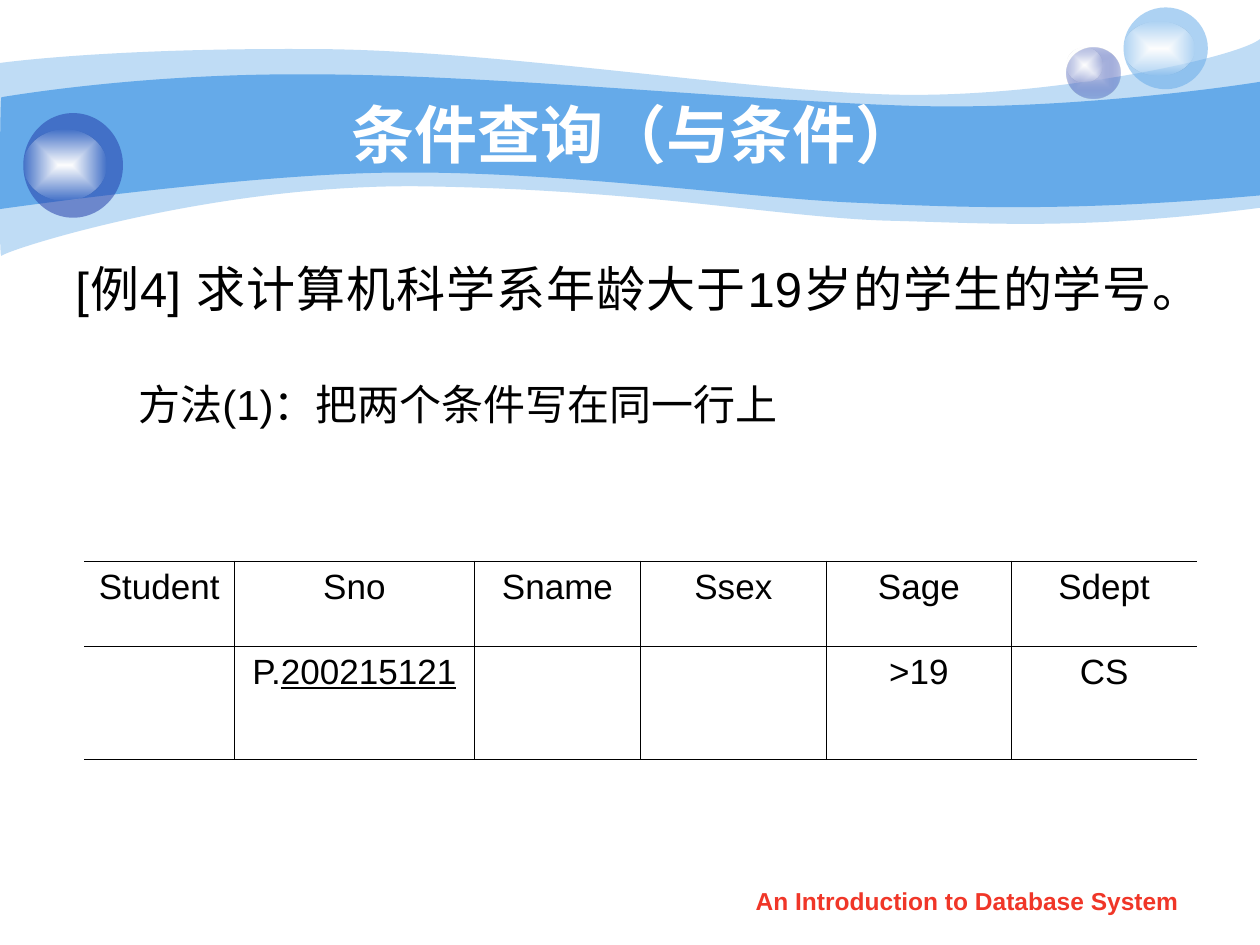
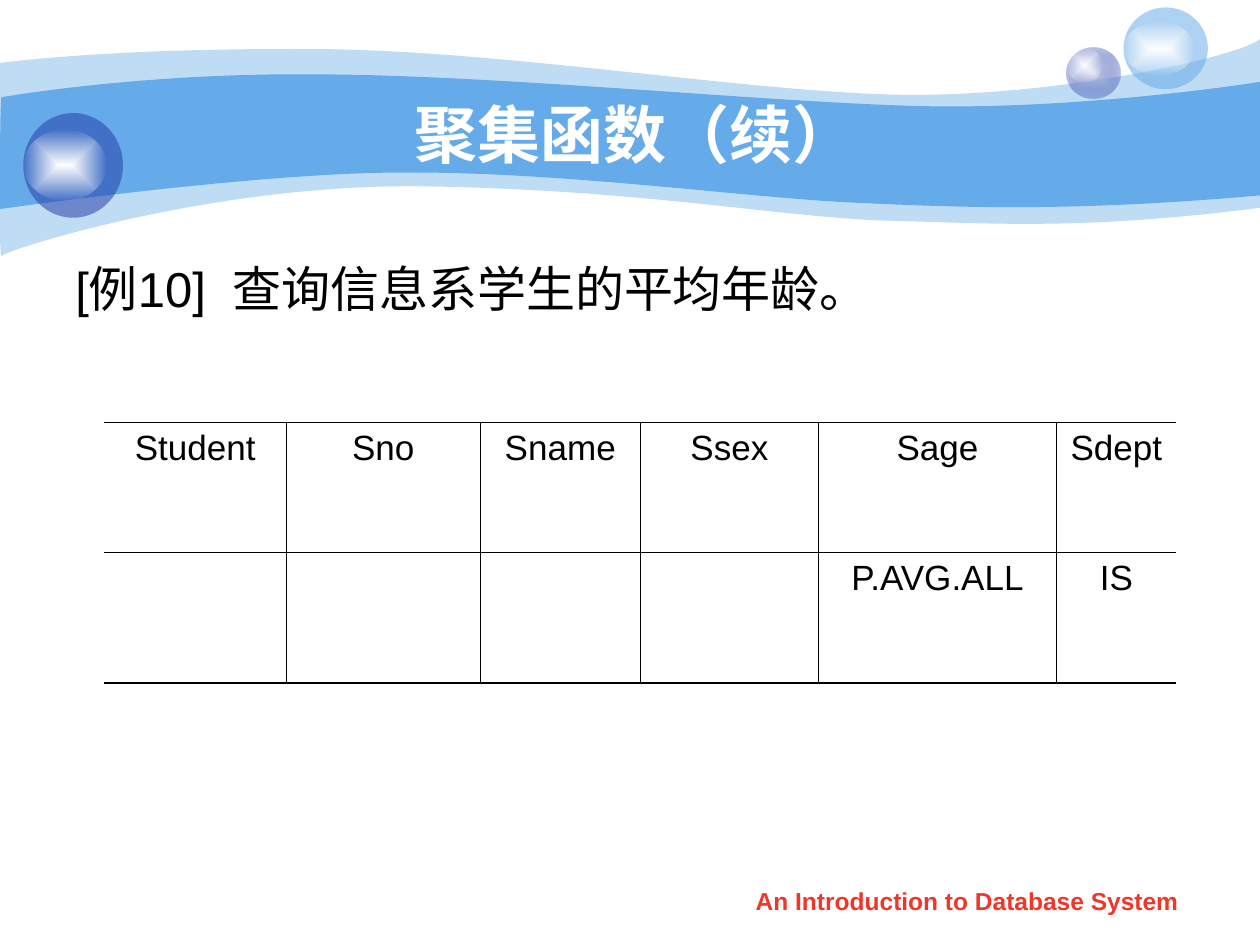
"""Build two slides on query-by-example conditions and aggregates."""
from dataclasses import dataclass

from pptx import Presentation
from pptx.dml.color import RGBColor
from pptx.enum.shapes import MSO_SHAPE as Preset
from pptx.enum.text import MSO_ANCHOR as Anchor, MSO_AUTO_SIZE as AutoSize, PP_ALIGN as Align
from pptx.oxml import parse_xml
from pptx.oxml.ns import nsdecls, qn
from pptx.util import Cm, Pt


@dataclass(frozen=True)
class Theme:
    font: str = "Arial"
    ink: str = "000000"
    white: str = "FFFFFF"
    sky: str = "65AAE9"
    navy: str = "233DA9"
    lilac: str = "C7CEE9"
    red: str = "F03628"
    title: int = 36
    example: int = 28
    method: int = 24
    cell: int = 20
    footer: int = 14
    thick: float = 1.08
    thin: float = 0.45


THEME = Theme()
FOOTER = "An Introduction to Database System"
FOOTER_AT = (14.5, 17.73, 10, 0.89)
TITLE_AT = (2.54, 1.9, 20.52, 1.57)
HEADERS = ["Student", "Sno", "Sname", "Ssex", "Sage", "Sdept"]
EXAMPLE = dict(size=THEME.example, margin=0.95, indent=-0.95)
METHOD = dict(size=THEME.method, margin=2.06, indent=-0.79, before=35)

PAGES = [
    dict(
        title="条件查询（与条件）",
        body_at=(1.27, 5.08, 22.23, 5.44),
        body=[("[例4] 求计算机科学系年龄大于19岁的学生的学号。", EXAMPLE),
              ("方法(1)：把两个条件写在同一行上", METHOD)],
        table_at=(1.7, 11.32),
        columns=[3.02, 4.85, 3.34, 3.75, 3.73, 3.74],
        rows=[1.71, 2.28],
        values=["", [("P.", {}), ("200215121", {"underline": True})], "", "", ">19", "CS"],
    ),
    dict(
        title="聚集函数（续）",
        body_at=(1.27, 5.08, 22.23, 12.5),
        body=[([("[例10]", {}), (" ", {"spacing": 7.5}), ("查询信息系学生的平均年龄。", {})], EXAMPLE)],
        table_at=(2.1, 8.52),
        columns=[3.67, 3.91, 3.23, 3.59, 4.8, 2.41],
        rows=[2.61, 2.64],
        values=["", "", "", "", "P.AVG.ALL", "IS"],
    ),
]

WAVES = [
    ([(THEME.sky, 41)], [
        [(0, 1.27), (0.61, 1.19), (2.72, 0.97), (6.27, 0.99), (9.8, 0.99), (14.6, 1.78),
         (17.75, 1.9), (20.88, 2.03), (24.89, 1.19), (25.4, 0.79)],
        [(25.4, 4.19), (21.79, 4.65), (19.99, 4.5), (17.91, 4.45), (15.8, 4.39), (13.08, 3.84),
         (8.71, 3.76), (4.37, 3.66), (0.1, 5.05), (0.03, 5.16), (-0.03, 5.28), (0, 1.9), (0, 1.27)],
    ]),
    ([(THEME.sky, 100)], [
        [(0.03, 1.96), (0.05, 1.96), (2.79, 1.47), (6.3, 1.5), (9.8, 1.5), (15.11, 2.03),
         (18.24, 2.13), (21.36, 2.24), (24.79, 1.75), (25.4, 1.65)],
        [(25.4, 3.94), (21.67, 4.27), (19.43, 4.19), (17.32, 4.09), (15.21, 4.01), (11.35, 3.45),
         (8.05, 3.48), (5.16, 3.48), (-0.05, 4.22), (-0.03, 4.22), (0, 4.22), (0, 1.96), (0.03, 1.96)],
    ]),
]
GLOW = [(THEME.white, 100), (THEME.white, 0)]
BUBBLES = [
    ((21.51, 0.97, 1.07, 1.02), [(THEME.lilac, 100), (THEME.navy, 31)]),
    ((21.51, 0.97, 0.71, 0.69), GLOW),
    ((22.65, 0.15, 1.7, 1.65), [(THEME.sky, 53)]),
    ((22.65, 0.43, 1.42, 1.09), GLOW),
    ((0.47, 2.28, 2.01, 2.11), [(THEME.navy, 53)]),
    ((0.47, 2.62, 1.68, 1.42), GLOW),
]


def lengths(values):
    return [Cm(value) for value in values]


def write(para, text, size, color=THEME.ink, bold=False, align=Align.CENTER,
          before=0, margin=0, indent=0):
    para.alignment = align
    para.space_before = Pt(before)
    if margin:
        properties = para._p.get_or_add_pPr()
        properties.set("marL", str(Cm(margin)))
        properties.set("indent", str(Cm(indent)))
    for words, style in [(text, {})] if isinstance(text, str) else text:
        span = para.add_run()
        span.text = words
        span.font.name, span.font.size, span.font.bold = THEME.font, Pt(size), bold
        span.font.color.rgb = RGBColor.from_string(color)
        if style.get("underline"):
            span.font.underline = True
        if "spacing" in style:
            span.font._element.set("spc", str(round(style["spacing"] * 100)))


def paint(shape, stops):
    colors = [f'<a:srgbClr val="{color}"><a:alpha val="{alpha * 1000}"/></a:srgbClr>'
              for color, alpha in stops]
    if len(colors) == 1:
        xml = f'<a:solidFill {nsdecls("a")}>{colors[0]}</a:solidFill>'
    else:
        marks = "".join(f'<a:gs pos="{place * 100000}">{color}</a:gs>'
                        for place, color in enumerate(colors))
        xml = (f'<a:gradFill {nsdecls("a")}><a:gsLst>{marks}</a:gsLst><a:path path="rect">'
               '<a:fillToRect l="50000" t="50000" r="50000" b="50000"/></a:path></a:gradFill>')
    shape.shadow.inherit = False
    shape.line.fill.background()
    shape.fill.background()
    properties = shape.element.spPr
    properties.replace(properties.find(qn("a:noFill")), parse_xml(xml))


def add_wave(page, edges):
    anchors = [lengths(point) for edge in edges for point in edge[::3]]
    builder = page.shapes.build_freeform(*anchors[0])
    builder.add_line_segments(anchors[1:], close=True)
    wave = builder.convert_to_shape()
    lines = list(wave.element.iter(qn("a:lnTo")))
    upper, lower = edges
    bend(wave, lines[:len(upper) // 3], upper)
    bend(wave, lines[len(upper) // 3 + 1:], lower)
    return wave


def bend(wave, lines, edge):
    for index, line in enumerate(lines):
        knots = edge[3 * index + 1:3 * index + 4]
        points = "".join(f'<a:pt x="{Cm(x) - wave.left}" y="{Cm(y) - wave.top}"/>' for x, y in knots)
        curve = parse_xml(f'<a:cubicBezTo {nsdecls("a")}>{points}</a:cubicBezTo>')
        line.getparent().replace(line, curve)


def decorate(layout, page):
    shapes = [(add_wave(page, edges), stops) for stops, edges in WAVES]
    shapes += [(page.shapes.add_shape(Preset.OVAL, *lengths(place)), stops)
               for place, stops in BUBBLES]
    for shape, stops in shapes:
        paint(shape, stops)
        layout.shapes.element.append(shape.element)


def add_title(page, text):
    title = page.shapes.title
    title.left, title.top, title.width, title.height = lengths(TITLE_AT)
    frame = title.text_frame
    frame.auto_size, frame.vertical_anchor = AutoSize.NONE, Anchor.MIDDLE
    write(frame.paragraphs[0], text, THEME.title, THEME.white, bold=True)


def add_text(page, place):
    frame = page.shapes.add_textbox(*lengths(place)).text_frame
    frame.word_wrap = True
    return frame


def set_borders(cell, widths):
    properties = cell._tc.get_or_add_tcPr()
    for side, width in zip("LRTB", widths):
        fill = f'<a:solidFill><a:srgbClr val="{THEME.ink}"/></a:solidFill>' if width else "<a:noFill/>"
        properties.append(parse_xml(
            f'<a:ln{side} {nsdecls("a")} w="{Pt(width)}">{fill}</a:ln{side}>'))
    cell.fill.background()


def add_grid(page, place, columns, rows, values):
    grid = page.shapes.add_table(len(rows), len(columns), *lengths(place),
                                 Cm(sum(columns)), Cm(sum(rows))).table
    grid.first_row = grid.horz_banding = False
    for column, width in zip(grid.columns, columns):
        column.width = Cm(width)
    for row, height in zip(grid.rows, rows):
        row.height = Cm(height)
    last_row, last_column = len(rows) - 1, len(columns) - 1
    for r, texts in enumerate([HEADERS, values]):
        for c, text in enumerate(texts):
            cell = grid.cell(r, c)
            set_borders(cell, (THEME.thin if c else 0,
                               THEME.thin if c < last_column else 0,
                               THEME.thin if r else THEME.thick,
                               THEME.thin if r < last_row else THEME.thick))
            if text:
                write(cell.text_frame.paragraphs[0], text, THEME.cell)


def main():
    deck = Presentation()
    deck.slide_width, deck.slide_height = Cm(25.4), Cm(19.05)
    layout = deck.slide_layouts[5]
    for holder in list(layout.placeholders)[1:]:
        layout.shapes.element.remove(holder.element)
    for number, content in enumerate(PAGES):
        page = deck.slides.add_slide(layout)
        if number == 0:
            decorate(layout, page)
        write(add_text(page, FOOTER_AT).paragraphs[0], FOOTER, THEME.footer, THEME.red, bold=True)
        add_title(page, content["title"])
        frame = add_text(page, content["body_at"])
        for index, (text, style) in enumerate(content["body"]):
            para = frame.add_paragraph() if index else frame.paragraphs[0]
            write(para, text, align=Align.JUSTIFY, **style)
        add_grid(page, content["table_at"], content["columns"], content["rows"], content["values"])
    deck.save("out.pptx")


if __name__ == "__main__":
    main()
